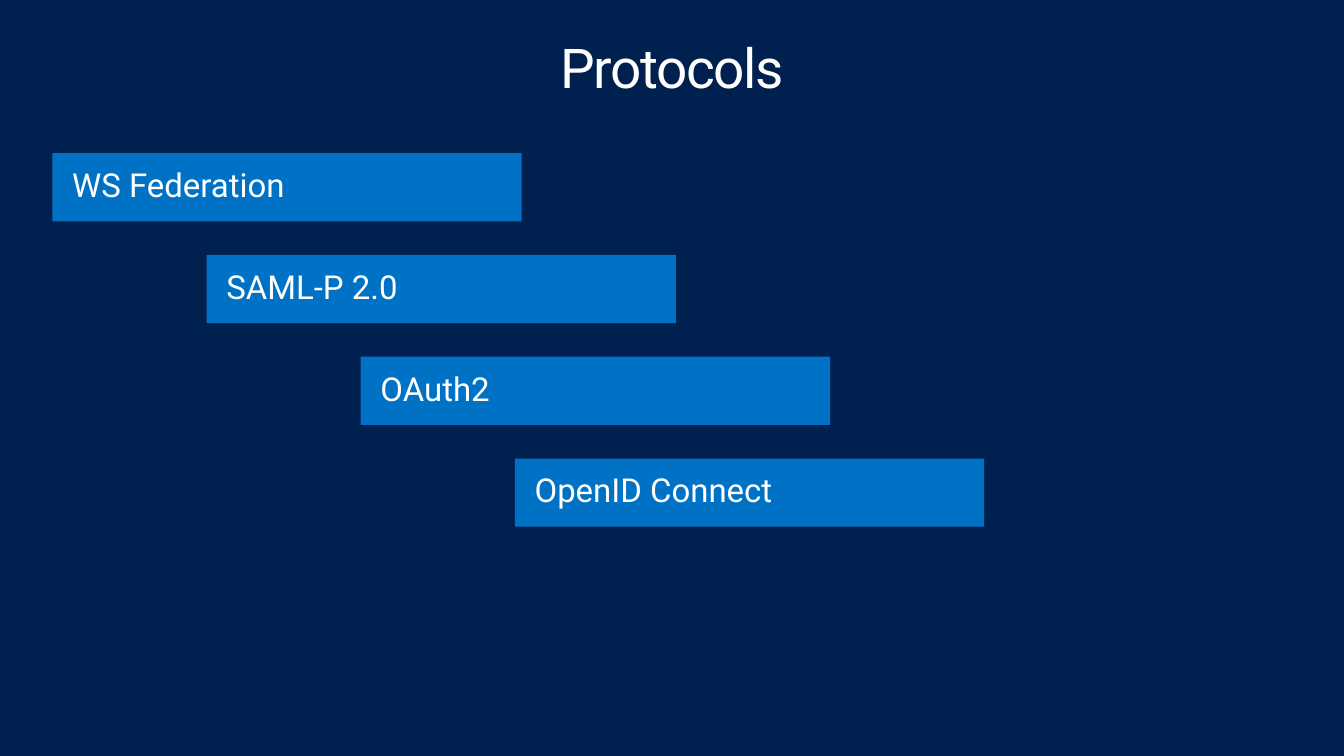
from pptx import Presentation
from pptx.dml.color import RGBColor
from pptx.enum.shapes import MSO_SHAPE as Shape
from pptx.enum.text import MSO_ANCHOR as Anchor, MSO_AUTO_SIZE as AutoSize, PP_ALIGN as Align
from pptx.util import Inches, Pt

COLORS = {"page": "002050", "bar": "0072C6", "text": "FFFFFF"}
PROTOCOLS = ["WS Federation", "SAML-P 2.0", "OAuth2", "OpenID Connect"]
LEFT, TOP = 0.53, 1.55
COLUMN, ROW = 1.56, 1.03
BAR_WIDTH, BAR_HEIGHT = 4.75, 0.69


def set_all(target, values):
    """Set each named attribute of the target."""
    for name, value in values.items():
        setattr(target, name, value)


def paint(fill, color):
    """Give a fill one solid colour from the palette."""
    fill.solid()
    fill.fore_color.rgb = RGBColor.from_string(COLORS[color])


def write(box, text, size, side, edge, auto_size, para_format):
    """Write one styled line of text in a box and return its run."""
    set_all(box.text_frame, {
        "word_wrap": True, "auto_size": auto_size, "vertical_anchor": Anchor.TOP,
        "margin_left": Inches(side), "margin_right": Inches(side),
        "margin_top": Inches(edge), "margin_bottom": Inches(edge),
    })
    para = box.text_frame.paragraphs[0]
    set_all(para, {"line_spacing": 0.9, **para_format})
    span = para.add_run()
    span.text = text
    set_all(span.font, {"name": "Roboto", "size": Pt(size)})
    paint(span.font.fill, "text")
    return span


def add_title(page, text):
    """Add the centred title with slightly tightened letters."""
    box = page.shapes.add_textbox(Inches(0.3), Inches(0.32), Inches(13), Inches(1))
    span = write(box, text, 40, 0.16, 0.1, AutoSize.NONE, {"alignment": Align.CENTER})
    span.font._element.set("spc", "-100")


def add_bar(page, step, text):
    """Add a protocol bar at its step of the staircase."""
    box = page.shapes.add_shape(
        Shape.RECTANGLE, Inches(LEFT + step * COLUMN), Inches(TOP + step * ROW),
        Inches(BAR_WIDTH), Inches(BAR_HEIGHT))
    box.shadow.inherit = False
    paint(box.fill, "bar")
    box.line.fill.background()
    write(box, text, 24, 0.2, 0.16, AutoSize.SHAPE_TO_FIT_TEXT,
          {"alignment": Align.LEFT, "space_after": Pt(6)})


def main():
    """Build the protocols slide and save the deck."""
    deck = Presentation()
    set_all(deck, {"slide_width": Inches(13.6), "slide_height": Inches(7.65)})
    page = deck.slides.add_slide(deck.slide_layouts[6])
    paint(page.background.fill, "page")
    add_title(page, "Protocols")
    for step, protocol in enumerate(PROTOCOLS):
        add_bar(page, step, protocol)
    deck.save("out.pptx")


if __name__ == "__main__":
    main()
